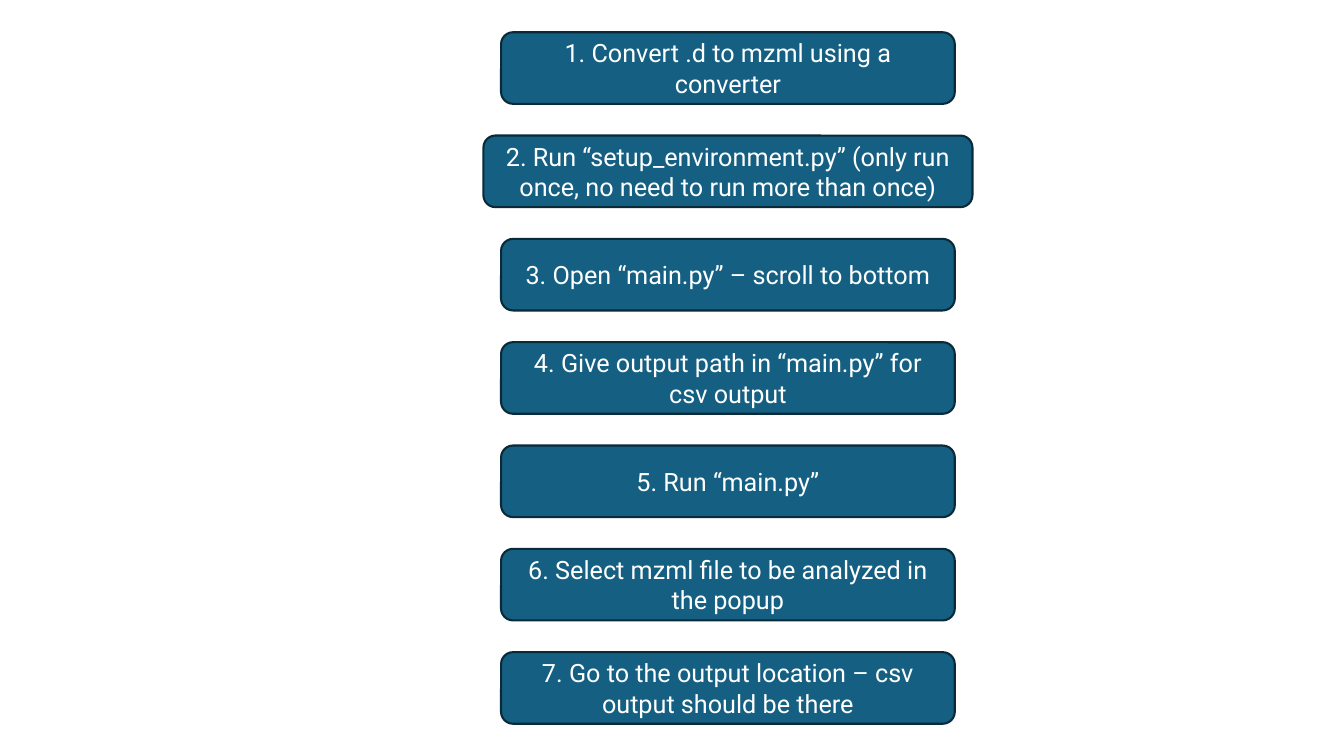
from pptx import Presentation
from pptx.dml.color import RGBColor
from pptx.enum.shapes import MSO_SHAPE
from pptx.enum.text import MSO_ANCHOR, PP_ALIGN
from pptx.util import Inches, Pt

ROUNDED = MSO_SHAPE.ROUNDED_RECTANGLE
MIDDLE = MSO_ANCHOR.MIDDLE
CENTER = PP_ALIGN.CENTER

COLORS = {"box": "156082", "outline": "092A39", "text": "FFFFFF"}
FONT = "Roboto"

# Column of steps, in inches
COLUMN_CENTER = 7.22
FIRST_TOP, LAST_TOP = 0.32, 6.47
BOX_WIDTH, WIDE_BOX_WIDTH, BOX_HEIGHT = 4.5, 4.85, 0.71

# Each step: wording and box width
STEPS = [
    ("Convert .d to mzml using a converter", BOX_WIDTH),
    ("Run “setup_environment.py” (only run once, no need to run more than once)",
     WIDE_BOX_WIDTH),
    ("Open “main.py” – scroll to bottom", BOX_WIDTH),
    ("Give output path in “main.py” for csv output", BOX_WIDTH),
    ("Run “main.py”", BOX_WIDTH),
    ("Select mzml file to be analyzed in the popup", BOX_WIDTH),
    ("Go to the output location – csv output should be there", BOX_WIDTH),
]
ROW_PITCH = (LAST_TOP - FIRST_TOP) / (len(STEPS) - 1)


def color(name):
    return RGBColor.from_string(COLORS[name])


def add_step(slide, row, text, width):
    """Add one numbered step, centred on the column."""
    shape = slide.shapes.add_shape(
        ROUNDED,
        Inches(COLUMN_CENTER - width / 2),
        Inches(FIRST_TOP + row * ROW_PITCH),
        Inches(width),
        Inches(BOX_HEIGHT),
    )
    shape.shadow.inherit = False
    shape.fill.solid()
    shape.fill.fore_color.rgb = color("box")
    shape.line.color.rgb = color("outline")
    shape.line.width = Pt(1.5)

    # Step wording
    text_frame = shape.text_frame
    text_frame.word_wrap = True
    text_frame.vertical_anchor = MIDDLE
    paragraph = text_frame.paragraphs[0]
    paragraph.alignment = CENTER
    run = paragraph.add_run()
    run.text = f"{row + 1}. {text}"
    run.font.name = FONT
    run.font.size = Pt(18)
    run.font.color.rgb = color("text")


def main():
    presentation = Presentation()
    presentation.slide_width = Inches(13.33)
    presentation.slide_height = Inches(7.5)
    blank_layout = presentation.slide_layouts.get_by_name("Blank")
    slide = presentation.slides.add_slide(blank_layout)

    # Steps from top to bottom
    for row, (text, width) in enumerate(STEPS):
        add_step(slide, row, text, width)

    presentation.save("out.pptx")


if __name__ == "__main__":
    main()
